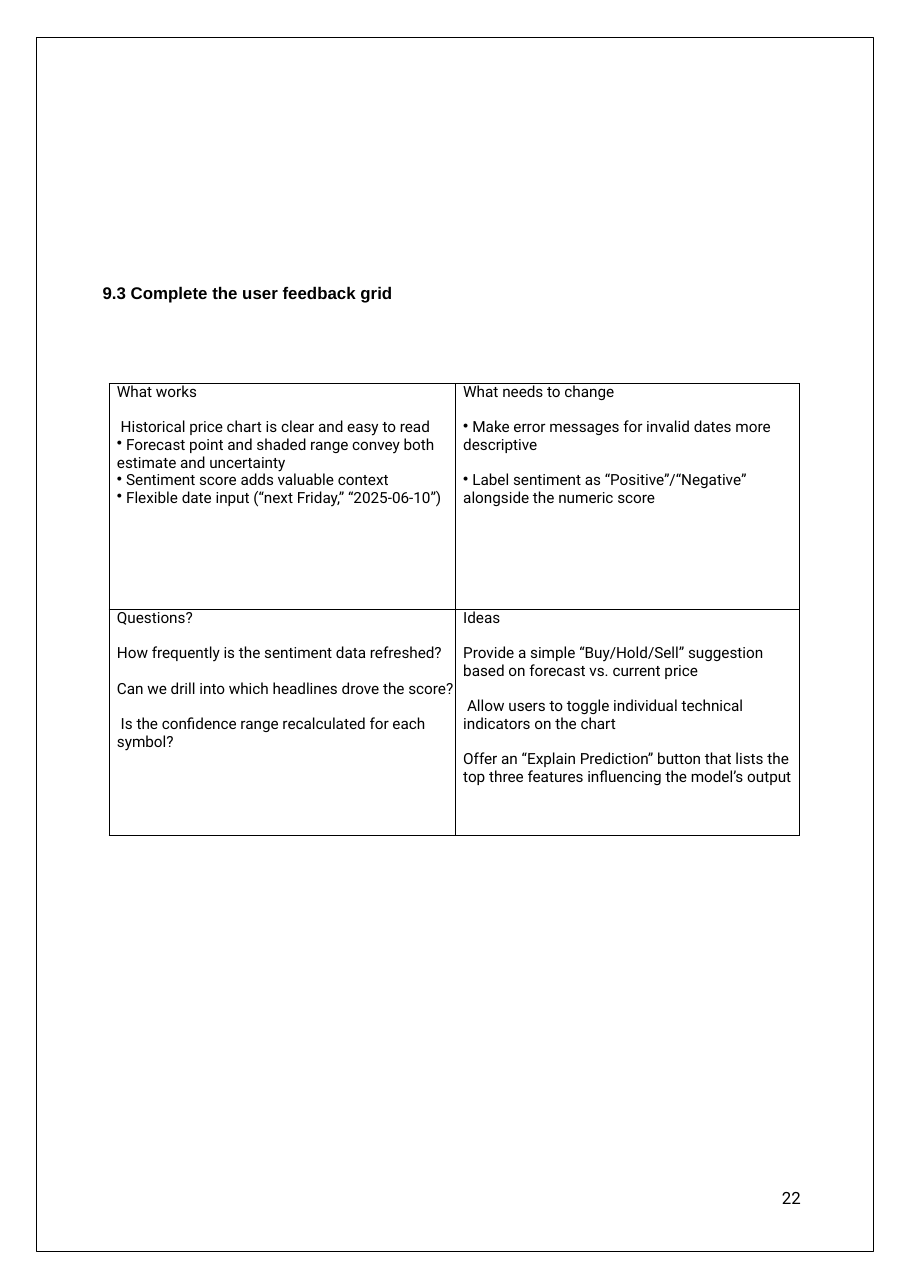
import dataclasses

import lxml.etree
import pptx
import pptx.dml.color
import pptx.enum.shapes
import pptx.enum.text
import pptx.oxml.ns
import pptx.util

Inches = pptx.util.Inches
Pt = pptx.util.Pt
qn = pptx.oxml.ns.qn

BLACK = pptx.dml.color.RGBColor(0x00, 0x00, 0x00)
LINE_HEIGHT = Pt(11.5)
CELL_INDENT = Inches(0.07)
COLUMN_WIDTHS = (3.14, 3.12)
ROW_HEIGHT = 2.05


@dataclasses.dataclass(frozen=True)
class Remark:
    text: str
    bulleted: bool = False
    gap_above: bool = True


@dataclasses.dataclass(frozen=True)
class Quadrant:
    row: int
    column: int
    heading: str
    remarks: tuple[Remark, ...]


QUADRANTS = (
    Quadrant(0, 0, "What works", (
        Remark(" Historical price chart is clear and easy to read"),
        Remark(" Forecast point and shaded range convey both estimate and uncertainty", True, False),
        Remark(" Sentiment score adds valuable context", True, False),
        Remark(" Flexible date input (“next Friday,” “2025-06-10”)", True, False),
    )),
    Quadrant(0, 1, "What needs to change", (
        Remark(" Make error messages for invalid dates more descriptive", True),
        Remark(" Label sentiment as “Positive”/“Negative” alongside the numeric score", True),
    )),
    Quadrant(1, 0, "Questions?", (
        Remark("How frequently is the sentiment data refreshed?"),
        Remark("Can we drill into which headlines drove the score?"),
        Remark(" Is the confidence range recalculated for each symbol?"),
    )),
    Quadrant(1, 1, "Ideas", (
        Remark("Provide a simple “Buy/Hold/Sell” suggestion based on forecast vs. current price"),
        Remark(" Allow users to toggle individual technical indicators on the chart"),
        Remark("Offer an “Explain Prediction” button that lists the top three features "
               "influencing the model’s output"),
    )),
)


def style_runs(paragraph, font_name: str, size: float, bold: bool = False) -> None:
    for run in paragraph.runs:
        run.font.name = font_name
        run.font.size = Pt(size)
        run.font.bold = bold
        run.font.color.rgb = BLACK


def clear_margins(holder) -> None:
    holder.margin_left = holder.margin_right = Inches(0)
    holder.margin_top = holder.margin_bottom = Inches(0)


def fill_line(shape, text: str, font_name: str, bold: bool = False) -> None:
    frame = shape.text_frame
    frame.text = text
    frame.word_wrap = False
    frame.auto_size = pptx.enum.text.MSO_AUTO_SIZE.NONE
    frame.vertical_anchor = pptx.enum.text.MSO_ANCHOR.TOP
    clear_margins(frame)
    frame.paragraphs[0].alignment = pptx.enum.text.PP_ALIGN.LEFT
    style_runs(frame.paragraphs[0], font_name, 11, bold)


def add_borders(cell) -> None:
    properties = cell._tc.get_or_add_tcPr()
    for side in ("lnL", "lnR", "lnT", "lnB"):
        border = lxml.etree.SubElement(properties, qn(f"a:{side}"), w=str(Pt(1)))
        ink = lxml.etree.SubElement(border, qn("a:solidFill"))
        lxml.etree.SubElement(ink, qn("a:srgbClr"), val=str(BLACK))


def fill_quadrant(cell, quadrant: Quadrant) -> None:
    clear_margins(cell)
    add_borders(cell)
    cell.fill.background()
    entries = (Remark(quadrant.heading, gap_above=False), *quadrant.remarks)
    cell.text_frame.text = "\n".join(entry.text for entry in entries)
    for paragraph, entry in zip(cell.text_frame.paragraphs, entries):
        paragraph.line_spacing = LINE_HEIGHT
        paragraph.space_before = LINE_HEIGHT if entry.gap_above else Pt(0)
        style_runs(paragraph, "Roboto", 10)
        properties = paragraph._p.get_or_add_pPr()
        properties.set("marL", str(CELL_INDENT))
        properties.set("indent", "0")
        if entry.bulleted:
            lxml.etree.SubElement(properties, qn("a:buChar"), char="•")


def add_page_frame(slide) -> None:
    page_frame = slide.shapes.add_shape(
        pptx.enum.shapes.MSO_SHAPE.RECTANGLE,
        Inches(0.33), Inches(0.34), Inches(7.59), Inches(11.01))
    page_frame.shadow.inherit = False
    page_frame.fill.background()
    page_frame.line.color.rgb = BLACK
    page_frame.line.width = Pt(0.5)


def add_feedback_grid(slide) -> None:
    grid = slide.shapes.add_table(
        2, 2, Inches(0.99), Inches(3.48),
        Inches(sum(COLUMN_WIDTHS)), Inches(2 * ROW_HEIGHT)).table
    grid.first_row = False
    grid.horz_banding = False
    for column, width in zip(grid.columns, COLUMN_WIDTHS):
        column.width = Inches(width)
    for row in grid.rows:
        row.height = Inches(ROW_HEIGHT)
    for quadrant in QUADRANTS:
        fill_quadrant(grid.cell(quadrant.row, quadrant.column), quadrant)


def main() -> None:
    deck = pptx.Presentation()
    deck.slide_width = Inches(8.26)
    deck.slide_height = Inches(11.68)
    slide = deck.slides.add_slide(deck.slide_layouts[5])

    heading = slide.shapes.title
    heading.left, heading.top = Inches(0.93), Inches(2.56)
    heading.width, heading.height = Inches(2.65), Inches(0.21)
    fill_line(heading, "9.3 Complete the user feedback grid", "Arial", bold=True)

    add_feedback_grid(slide)
    add_page_frame(slide)

    page_number = slide.shapes.add_textbox(
        Inches(7.09), Inches(10.77), Inches(0.24), Inches(0.2))
    fill_line(page_number, "22", "Roboto")
    deck.save("out.pptx")


if __name__ == "__main__":
    main()
